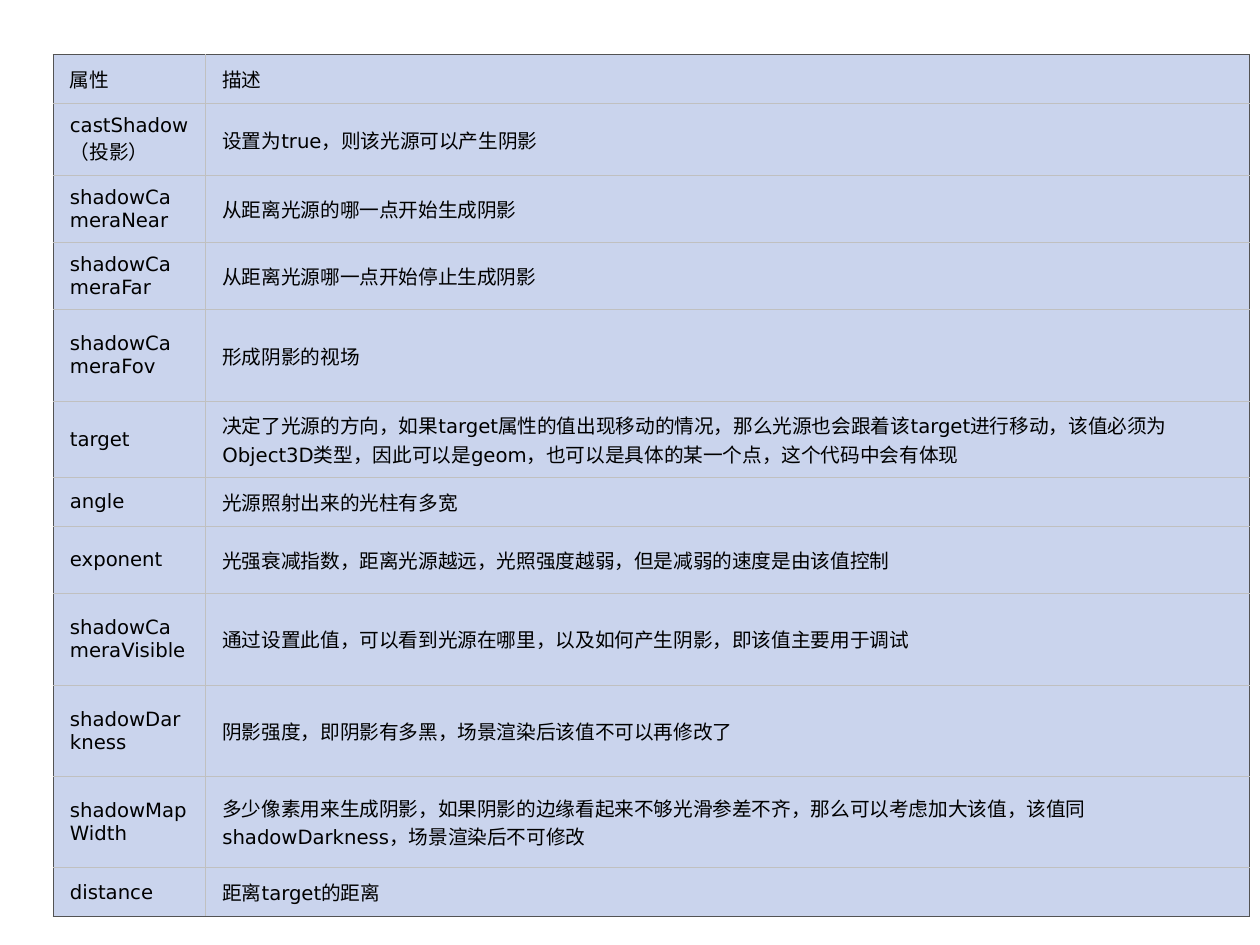
from lxml import etree
from pptx import Presentation
from pptx.dml.color import RGBColor
from pptx.enum import text
from pptx.oxml.ns import qn
from pptx.util import Inches, Pt

OUTER, INNER, FILL = "535353", "C0C0C0", "CAD4ED"
COL_WIDTHS = [1.72, 11.78]
ROWS = [
    (0.55, "属性", "描述"),
    (0.81, "castShadow（投影）", "设置为true，则该光源可以产生阴影"),
    (0.76, "shadowCameraNear", "从距离光源的哪一点开始生成阴影"),
    (0.76, "shadowCameraFar", "从距离光源哪一点开始停止生成阴影"),
    (1.03, "shadowCameraFov", "形成阴影的视场"),
    (0.85, "target", "决定了光源的方向，如果target属性的值出现移动的情况，那么光源也会跟着该target进行移动，"
                     "该值必须为Object3D类型，因此可以是geom，也可以是具体的某一个点，这个代码中会有体现"),
    (0.55, "angle", "光源照射出来的光柱有多宽"),
    (0.76, "exponent", "光强衰减指数，距离光源越远，光照强度越弱，但是减弱的速度是由该值控制"),
    (1.04, "shadowCameraVisible", "通过设置此值，可以看到光源在哪里，以及如何产生阴影，即该值主要用于调试"),
    (1.03, "shadowDarkness", "阴影强度，即阴影有多黑，场景渲染后该值不可以再修改了"),
    (1.03, "shadowMapWidth", "多少像素用来生成阴影，如果阴影的边缘看起来不够光滑参差不齐，那么可以考虑加大该值，"
                             "该值同shadowDarkness，场景渲染后不可修改"),
    (0.55, "distance", "距离target的距离"),
]


def rgb(value):
    return RGBColor.from_string(value)


def write(cell, content, size=16, font="DejaVu Sans", color="000000"):
    cell.vertical_anchor = text.MSO_ANCHOR.MIDDLE
    cell.margin_left = cell.margin_right = Inches(0.19)
    cell.margin_top = cell.margin_bottom = Inches(0.11)
    r = cell.text_frame.paragraphs[0].add_run()
    r.text = content
    r.font.size = Pt(size)
    r.font.name = font
    r.font.bold = False
    r.font.color.rgb = rgb(color)


prs = Presentation()
prs.slide_width, prs.slide_height = Inches(14.22), Inches(10.67)
s = prs.slides.add_slide(prs.slide_layouts[6])

height = sum(row[0] for row in ROWS)
table = s.shapes.add_table(len(ROWS), 2, Inches(0.6), Inches(0.62),
                           Inches(sum(COL_WIDTHS)), Inches(height)).table
table.first_row = table.horz_banding = False
for col, width in zip(table.columns, COL_WIDTHS):
    col.width = Inches(width)

last = len(ROWS) - 1
for i, (row_height, *contents) in enumerate(ROWS):
    table.rows[i].height = Inches(row_height)
    for j, content in enumerate(contents):
        cell = table.cell(i, j)
        write(cell, content)
        tcPr = cell._tc.get_or_add_tcPr()
        edges = {"lnL": j == 0, "lnR": j == 1, "lnT": i == 0, "lnB": i == last}
        for tag, outer in edges.items():
            ln = etree.SubElement(tcPr, qn("a:" + tag), w=str(Pt(1)))
            fill = etree.SubElement(ln, qn("a:solidFill"))
            etree.SubElement(fill, qn("a:srgbClr"), val=OUTER if outer else INNER)
        cell.fill.solid()
        cell.fill.fore_color.rgb = rgb(FILL)

prs.save("out.pptx")
